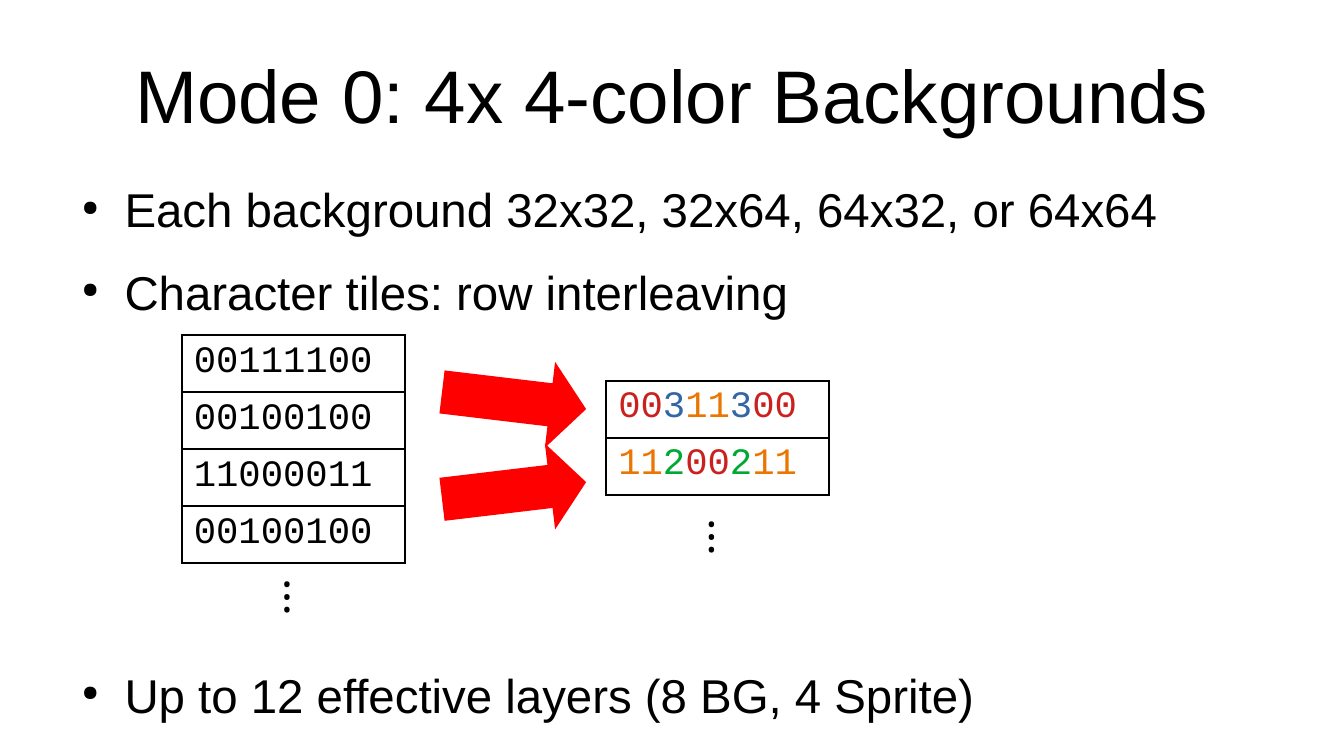
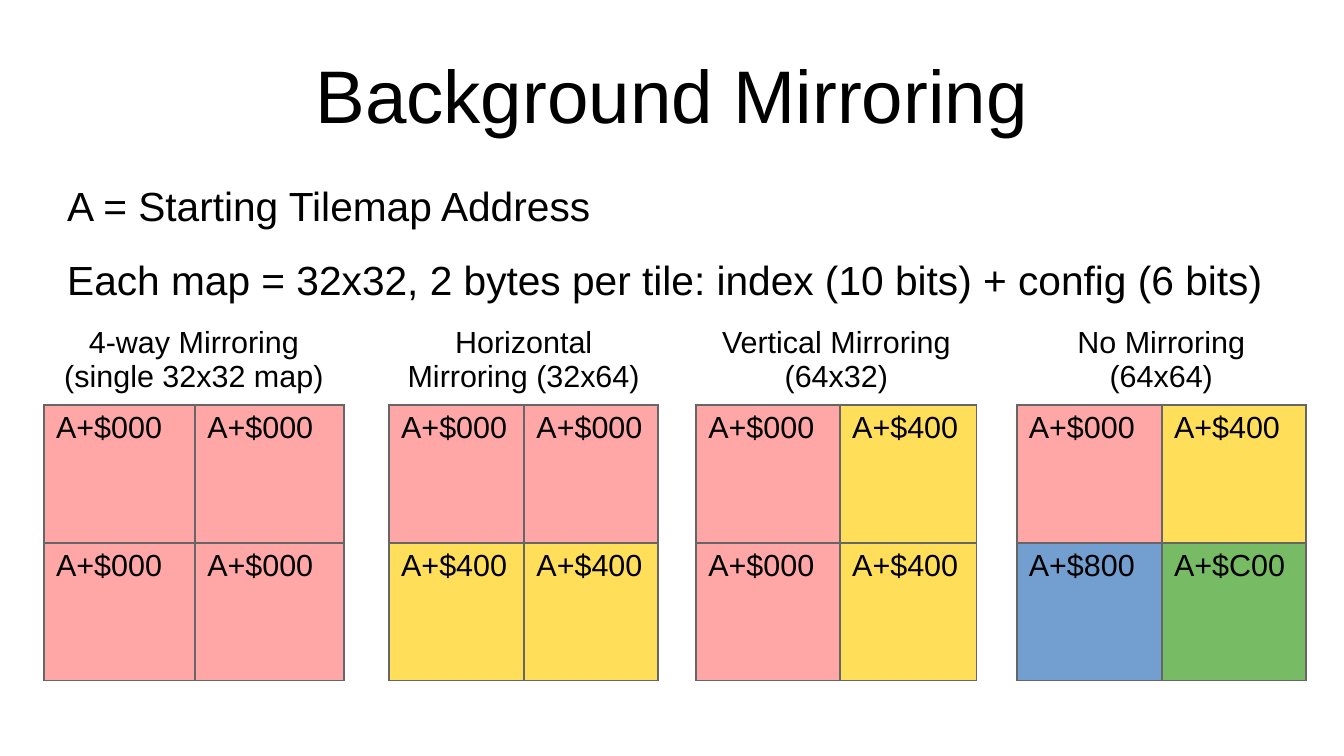
from dataclasses import dataclass
from itertools import groupby

from lxml import etree
from pptx import Presentation
from pptx.dml.color import RGBColor
from pptx.enum.shapes import MSO_SHAPE
from pptx.enum.text import MSO_ANCHOR, PP_ALIGN
from pptx.oxml.ns import qn
from pptx.shapes.autoshape import Shape
from pptx.slide import Slide
from pptx.table import Table, _Cell
from pptx.text.text import TextFrame, _Paragraph
from pptx.util import Emu, Inches, Pt

ARROW = MSO_SHAPE.RIGHT_ARROW
MIDDLE, TOP = MSO_ANCHOR.MIDDLE, MSO_ANCHOR.TOP
LEFT, CENTER = PP_ALIGN.LEFT, PP_ALIGN.CENTER

BLACK = RGBColor(0x00, 0x00, 0x00)
GRAY = RGBColor(0x66, 0x66, 0x66)
RED = RGBColor(0xFF, 0x00, 0x00)
PINK = RGBColor(0xFF, 0xA6, 0xA6)
YELLOW = RGBColor(0xFF, 0xDE, 0x59)
BLUE = RGBColor(0x72, 0x9F, 0xCF)
GREEN = RGBColor(0x77, 0xBC, 0x65)
DIGITS = {
    "0": RGBColor(0xC9, 0x21, 0x1E),
    "1": RGBColor(0xEA, 0x75, 0x00),
    "2": RGBColor(0x00, 0xA9, 0x33),
    "3": RGBColor(0x34, 0x65, 0xA4),
}
FILLS = {"A+$000": PINK, "A+$400": YELLOW, "A+$800": BLUE, "A+$C00": GREEN}

SANS, MONO = "Arial", "Courier New"
WIDE, HIGH = Inches(11.02), Inches(6.2)
PLAIN = "{2D5ABB26-0587-4C30-8999-92F81FD0307C}"  # table style without grid
EDGE = 1.19


@dataclass(frozen=True)
class Box:
    """A place, in percent of the slide's width and height."""
    left: float
    top: float
    width: float
    height: float

    def spot(self) -> tuple[Emu, Emu, Emu, Emu]:
        return across(self.left), down(self.top), across(self.width), down(self.height)


@dataclass(frozen=True)
class Style:
    size: float
    font: str = SANS
    align: PP_ALIGN = LEFT


@dataclass(frozen=True)
class Stack:
    """A column of tile rows with a dotted mark below."""
    left: float
    top: float
    rows: tuple[str, ...]
    tinted: bool
    dots: Box


@dataclass(frozen=True)
class Map:
    """Two columns of a tile map; widths in percent of the slide."""
    label: str
    widths: tuple[float, float]
    cells: tuple[tuple[str, str], tuple[str, str]]


HEAD = Style(44, align=CENTER)
POINT, NOTE = Style(28), Style(24)
TILE, DOTS = Style(22, MONO), Style(26, align=CENTER)
LABEL, CODE = Style(18, align=CENTER), Style(18)

TITLE = Box(5, 4, 90, 16.8)
BODY = Box(5, 23.4, 90, 18)
LAST = Box(5, 87.6, 90, 7.6)

TILE_WIDE, TILE_HIGH = 16.6, 7.38
STACKS = (
    Stack(13.52, 44.35, ("00111100", "00100100", "11000011", "00100100"), False,
          Box(19.96, 74.35, 2.8, 8.1)),
    Stack(45.1, 50.4, ("00311300", "11200211"), True,
          Box(51.54, 66.45, 2.8, 8.1)),
)
ARROWS = ((47.26, 6.8), (59.19, -6.8))  # top, turn

MAP_LEFT, MAP_TOP = 3.27, 42.26
MAP_ROWS = (10.65, 18.23, 18.23)
GAPS = (3.36, 2.81, 2.99)
MAPS = (
    Map("4-way Mirroring (single 32x32 map)", (11.25, 11.07),
        (("A+$000", "A+$000"), ("A+$000", "A+$000"))),
    Map("Horizontal Mirroring (32x64)", (10.07, 9.98),
        (("A+$000", "A+$000"), ("A+$400", "A+$400"))),
    Map("Vertical Mirroring (64x32)", (10.71, 10.16),
        (("A+$000", "A+$400"), ("A+$000", "A+$400"))),
    Map("No Mirroring (64x64)", (10.8, 10.71),
        (("A+$000", "A+$400"), ("A+$800", "A+$C00"))),
)


def across(share: float) -> Emu:
    return Emu(round(WIDE * share / 100))


def down(share: float) -> Emu:
    return Emu(round(HIGH * share / 100))


# Text

def format_runs(para: _Paragraph, style: Style) -> None:
    para.alignment = style.align
    for run in para.runs:
        run.font.size = Pt(style.size)
        run.font.name = style.font
        run.font.color.rgb = BLACK


def write(frame: TextFrame, text: str, style: Style) -> None:
    frame.text = text
    for para in frame.paragraphs:
        format_runs(para, style)


def add_text(slide: Slide, box: Box, text: str, style: Style) -> Shape:
    shape = slide.shapes.add_textbox(*box.spot())
    frame = shape.text_frame
    frame.word_wrap = True
    frame.margin_left = frame.margin_right = 0
    frame.margin_top = frame.margin_bottom = 0
    write(frame, text, style)
    return shape


def add_bullet(para: _Paragraph) -> None:
    props = para._p.get_or_add_pPr()
    props.set("marL", str(Inches(0.47)))
    props.set("indent", str(Inches(-0.35)))
    tint = etree.SubElement(props, qn("a:buClr"))
    etree.SubElement(tint, qn("a:srgbClr"), val=str(BLACK))
    etree.SubElement(props, qn("a:buSzPct"), val="45000")
    etree.SubElement(props, qn("a:buChar"), char="●")


def add_body(slide: Slide, box: Box, lines: tuple[str, ...], style: Style,
             marked: bool) -> None:
    frame = add_text(slide, box, "\n".join(lines), style).text_frame
    frame.margin_top = Inches(0.03)
    for index, para in enumerate(frame.paragraphs):
        if marked:
            add_bullet(para)
        if index:
            para.space_before = Pt(15)


def add_slide(deck: Presentation, title: str) -> Slide:
    slide = deck.slides.add_slide(deck.slide_layouts[6])
    frame = add_text(slide, TITLE, title, HEAD).text_frame
    frame.vertical_anchor = MIDDLE
    return slide


# Tables

def add_grid(slide: Slide, left: float, top: float, cols: tuple[float, ...],
             rows: tuple[float, ...]) -> Table:
    box = Box(left, top, sum(cols), sum(rows))
    table = slide.shapes.add_table(len(rows), len(cols), *box.spot()).table
    table.first_row = table.horz_banding = False
    table._tbl.tblPr.find(qn("a:tableStyleId")).text = PLAIN
    for col, width in zip(table.columns, cols):
        col.width = across(width)
    for row, height in zip(table.rows, rows):
        row.height = down(height)
    for cell in table.iter_cells():
        cell.fill.background()
    return table


def frame_cell(cell: _Cell, color: RGBColor) -> None:
    props = cell._tc.get_or_add_tcPr()
    for index, side in enumerate(("a:lnL", "a:lnR", "a:lnT", "a:lnB")):
        line = etree.Element(qn(side), w=str(Pt(EDGE)))
        fill = etree.SubElement(line, qn("a:solidFill"))
        etree.SubElement(fill, qn("a:srgbClr"), val=str(color))
        props.insert(index, line)


def write_cell(cell: _Cell, text: str, style: Style) -> None:
    cell.vertical_anchor = TOP
    write(cell.text_frame, text, style)


def tint_digits(para: _Paragraph, style: Style) -> None:
    text = para.text
    para.clear()
    for _, group in groupby(text):
        para.add_run().text = "".join(group)
    format_runs(para, style)
    for run in para.runs:
        run.font.color.rgb = DIGITS[run.text[0]]


# Slide parts

def add_stack(slide: Slide, stack: Stack) -> None:
    heights = (TILE_HIGH,) * len(stack.rows)
    table = add_grid(slide, stack.left, stack.top, (TILE_WIDE,), heights)
    for cell, text in zip(table.iter_cells(), stack.rows):
        write_cell(cell, text, TILE)
        frame_cell(cell, BLACK)
        if stack.tinted:
            tint_digits(cell.text_frame.paragraphs[0], TILE)
    frame = add_text(slide, stack.dots, "⁝", DOTS).text_frame
    frame.margin_top = Inches(0.05)


def add_arrow(slide: Slide, top: float, turn: float) -> None:
    arrow = slide.shapes.add_shape(ARROW, *Box(32.85, top, 10.8, 11.45).spot())
    arrow.adjustments[1] = 0.42
    arrow.rotation = turn
    arrow.shadow.inherit = False
    arrow.fill.solid()
    arrow.fill.fore_color.rgb = RED
    arrow.line.fill.background()


def add_maps(slide: Slide) -> None:
    cols = MAPS[0].widths
    for gap, item in zip(GAPS, MAPS[1:]):
        cols += (gap, *item.widths)
    table = add_grid(slide, MAP_LEFT, MAP_TOP, cols, MAP_ROWS)
    for index, item in enumerate(MAPS):
        first = 3 * index
        label = table.cell(0, first)
        label.merge(table.cell(0, first + 1))
        write_cell(label, item.label, LABEL)
        for row, codes in enumerate(item.cells, 1):
            for col, code in enumerate(codes, first):
                cell = table.cell(row, col)
                write_cell(cell, code, CODE)
                cell.fill.solid()
                cell.fill.fore_color.rgb = FILLS[code]
                frame_cell(cell, GRAY)


def main() -> None:
    deck = Presentation()
    deck.slide_width, deck.slide_height = WIDE, HIGH

    # Tile rows and how they combine
    slide = add_slide(deck, "Mode 0: 4x 4-color Backgrounds")
    add_body(slide, BODY, ("Each background 32x32, 32x64, 64x32, or 64x64",
                           "Character tiles: row interleaving"), POINT, True)
    add_body(slide, LAST, ("Up to 12 effective layers (8 BG, 4 Sprite)",), POINT, True)
    for stack in STACKS:
        add_stack(slide, stack)
    for top, turn in ARROWS:
        add_arrow(slide, top, turn)

    # Tile maps
    slide = add_slide(deck, "Background Mirroring")
    add_body(slide, BODY, (
        "A = Starting Tilemap Address",
        "Each map = 32x32, 2 bytes per tile: index (10 bits) + config (6 bits)",
    ), NOTE, False)
    add_maps(slide)

    deck.save("out.pptx")


if __name__ == "__main__":
    main()
